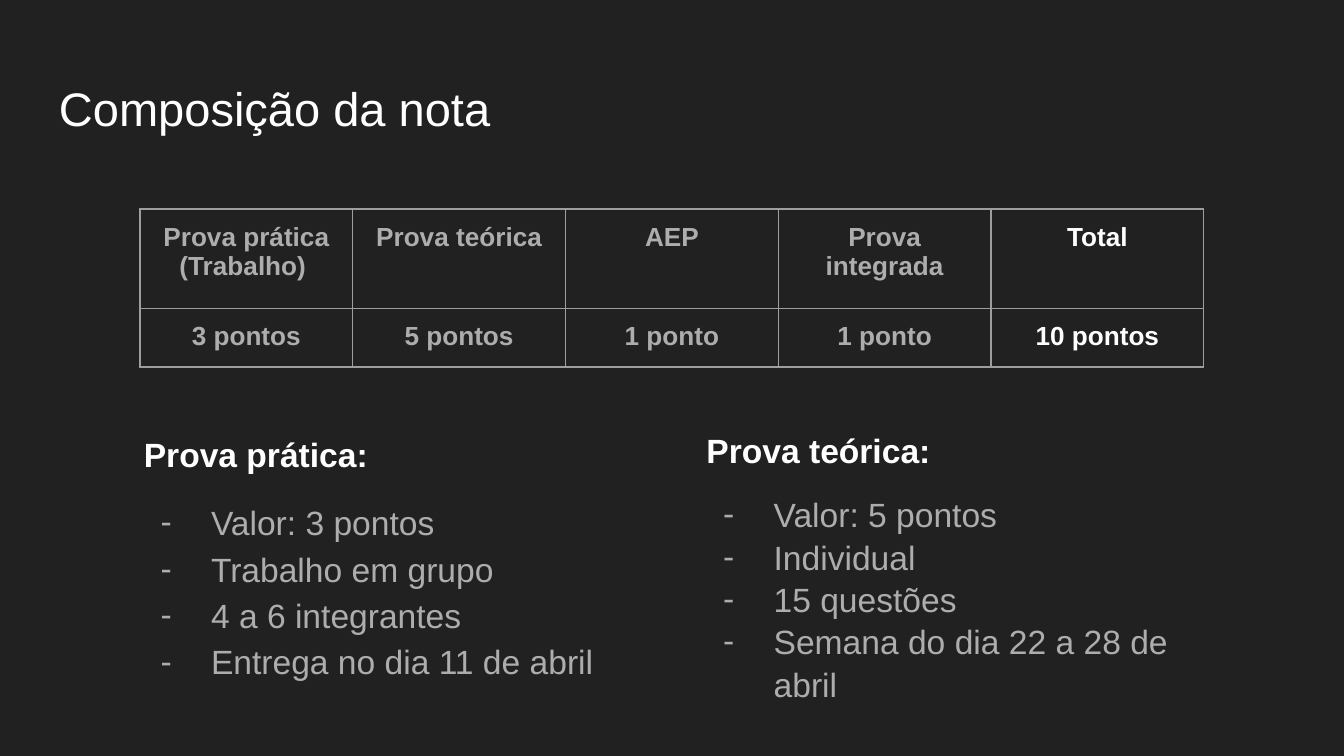
import pptx
import pptx.dml.color
import pptx.enum.text
import pptx.oxml
import pptx.oxml.ns
import pptx.util

Pt = pptx.util.Pt
ALIGN = pptx.enum.text.PP_ALIGN
FONT = "Arial"
COLORS = {
    "background": "212121",
    "strong": "FFFFFF",
    "body": "ADADAD",
    "border": "9E9E9E",
}
GRADES = [
    ("Prova prática\n(Trabalho) ", "3 pontos"),
    ("Prova teórica", "5 pontos"),
    ("AEP", "1 ponto"),
    ("Prova integrada", "1 ponto"),
    ("Total", "10 pontos"),
]


def rgb(name):
    return pptx.dml.color.RGBColor.from_string(COLORS[name])


def xml_element(markup):
    return pptx.oxml.parse_xml(markup.replace(">", f" {pptx.oxml.ns.nsdecls('a')}>", 1))


def add_dash(paragraph):
    properties = paragraph._p.get_or_add_pPr()
    properties.set("marL", str(Pt(36)))
    properties.set("indent", str(-Pt(27)))
    properties.append(xml_element(f'<a:buClr><a:srgbClr val="{COLORS["body"]}"/></a:buClr>'))
    properties.append(xml_element(f'<a:buFont typeface="{FONT}"></a:buFont>'))
    properties.append(xml_element('<a:buChar char="-"></a:buChar>'))


def write(paragraph, text, size=18, color="body", bold=False, align=ALIGN.LEFT,
          spacing=1.0, before=0, dash=False):
    paragraph.alignment = align
    paragraph.line_spacing = spacing
    paragraph.space_before = Pt(before)
    if dash:
        add_dash(paragraph)
    run = paragraph.add_run()
    run.text = text
    run.font.name = FONT
    run.font.size = Pt(size)
    run.font.bold = bold
    run.font.color.rgb = rgb(color)


def set_margins(target):
    for side in ("left", "right", "top", "bottom"):
        setattr(target, f"margin_{side}", Pt(7.2))


def add_text_frame(slide, left, top, width, height):
    frame = slide.shapes.add_textbox(Pt(left), Pt(top), Pt(width), Pt(height)).text_frame
    frame.word_wrap = True
    set_margins(frame)
    return frame


def add_section(slide, left, heading, items, spacing):
    frame = add_text_frame(slide, left, 221.8, 273.6, 199.4)
    write(frame.paragraphs[0], heading, color="strong", bold=True, spacing=spacing)
    for index, item in enumerate(items):
        write(frame.add_paragraph(), item, spacing=spacing,
              before=0 if index else 12, dash=True)


def outline_cell(cell):
    properties = cell._tc.get_or_add_tcPr()
    for index, side in enumerate(("lnL", "lnR", "lnT", "lnB")):
        properties.insert(index, xml_element(
            f'<a:{side} w="{Pt(0.75)}"><a:solidFill><a:srgbClr val="{COLORS["border"]}"/>'
            f'</a:solidFill></a:{side}>'))


def fill_cell(cell, text, color):
    cell.fill.background()
    set_margins(cell)
    outline_cell(cell)
    frame = cell.text_frame
    for index, line in enumerate(text.split("\n")):
        paragraph = frame.add_paragraph() if index else frame.paragraphs[0]
        write(paragraph, line, size=14, color=color, bold=True, align=ALIGN.CENTER)


def add_grade_table(slide):
    column_width, row_heights = 114, (53.4, 30.3)
    table = slide.shapes.add_table(
        len(row_heights), len(GRADES), Pt(75), Pt(112),
        Pt(column_width * len(GRADES)), Pt(sum(row_heights))).table
    table.first_row = False
    table.horz_banding = False
    for row, height in zip(table.rows, row_heights):
        row.height = Pt(height)
    for column, texts in enumerate(GRADES):
        table.columns[column].width = Pt(column_width)
        color = "strong" if texts[0] == "Total" else "body"
        for row, text in enumerate(texts):
            fill_cell(table.cell(row, column), text, color)


def main():
    presentation = pptx.Presentation()
    presentation.slide_width = Pt(720)
    presentation.slide_height = Pt(405)
    slide = presentation.slides.add_slide(presentation.slide_layouts[6])
    slide.background.fill.solid()
    slide.background.fill.fore_color.rgb = rgb("background")

    title = add_text_frame(slide, 24.5, 35.3, 671, 45.4)
    write(title.paragraphs[0], "Composição da nota", size=25.2, color="strong")
    add_section(slide, 70, "Prova prática:", [
        "Valor: 3 pontos", "Trabalho em grupo", "4 a 6 integrantes",
        "Entrega no dia 11 de abril"], spacing=1.15)
    add_grade_table(slide)
    add_section(slide, 371.4, "Prova teórica:", [
        "Valor: 5 pontos", "Individual", "15 questões",
        "Semana do dia 22 a 28 de abril"], spacing=1.05)
    presentation.save("out.pptx")


if __name__ == "__main__":
    main()
